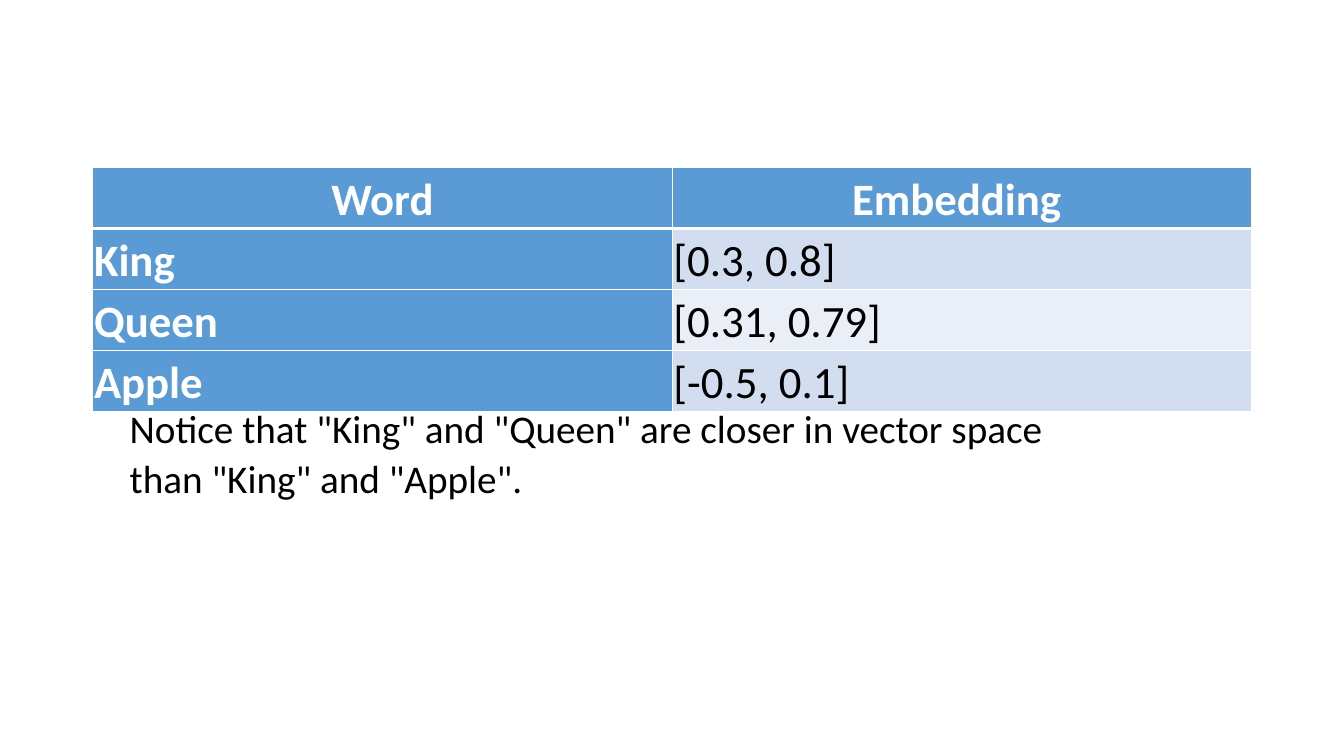
from lxml import etree
from pptx import Presentation
from pptx import util as u
from pptx.dml.color import RGBColor
from pptx.enum import text
from pptx.oxml import ns

ROWS = [
    ("Word", "Embedding "),
    ("King", "[0.3, 0.8]"),
    ("Queen", "[0.31, 0.79]"),
    ("Apple", "[-0.5, 0.1]"),
]
NOTICE = ('Notice that "King" and "Queen" are closer in vector space '
          'than "King" and "Apple".')

FONT = "Calibri"
WHITE, BLACK, BLUE = "FFFFFF", "000000", "5B9BD5"
BANDS = ["EAEFF7", "D2DEEF"]
LINE_SPACING = 1.07
TABLE_LEFT, TABLE_TOP = u.Cm(2.34), u.Cm(4.22)
COLUMN_WIDTH, ROW_HEIGHT = u.Cm(14.6), u.Cm(1.53)
CELL_MARGIN = u.Cm(0.03)


def color(code):
    return RGBColor.from_string(code)


def format_paragraph(para, size, code, bold=False):
    para.line_spacing = LINE_SPACING
    for span in para.runs:
        span.font.name = FONT
        span.font.size = u.Pt(size)
        span.font.bold = bold
        span.font.color.rgb = color(code)


def add_borders(cell, top, bottom):
    """Draw white cell borders; widths in points, to be set before the fill."""
    properties = cell._tc.get_or_add_tcPr()
    for side, width in (("L", 1), ("R", 1), ("T", top), ("B", bottom)):
        line = etree.SubElement(properties, ns.qn(f"a:ln{side}"), w=str(u.Pt(width)))
        fill = etree.SubElement(line, ns.qn("a:solidFill"))
        etree.SubElement(fill, ns.qn("a:srgbClr"), val=WHITE)


def add_embedding_table(slide):
    columns = len(ROWS[0])
    table = slide.shapes.add_table(
        len(ROWS), columns, TABLE_LEFT, TABLE_TOP,
        COLUMN_WIDTH * columns, ROW_HEIGHT * len(ROWS)).table
    table.first_col = True
    for r, row in enumerate(ROWS):
        for c, value in enumerate(row):
            cell = table.cell(r, c)
            heading = r == 0 or c == 0
            add_borders(cell, top=3 if r == 1 else 1, bottom=3 if r == 0 else 1)
            cell.fill.solid()
            cell.fill.fore_color.rgb = color(BLUE if heading else BANDS[r % 2])
            cell.margin_left = cell.margin_right = CELL_MARGIN
            cell.margin_top = cell.margin_bottom = CELL_MARGIN
            cell.vertical_anchor = text.MSO_ANCHOR.MIDDLE
            cell.text_frame.text = value
            para = cell.text_frame.paragraphs[0]
            para.alignment = text.PP_ALIGN.CENTER if r == 0 else text.PP_ALIGN.LEFT
            format_paragraph(para, 32, WHITE if heading else BLACK, heading)


def add_notice(slide):
    box = slide.shapes.add_textbox(u.Cm(3.02), u.Cm(9.98), u.Cm(25.2), u.Cm(2.82))
    frame = box.text_frame
    frame.word_wrap = True
    frame.auto_size = text.MSO_AUTO_SIZE.SHAPE_TO_FIT_TEXT
    frame.text = NOTICE
    para = frame.paragraphs[0]
    para.space_after = u.Pt(8)
    format_paragraph(para, 28, BLACK)


def main():
    deck = Presentation()
    deck.slide_width, deck.slide_height = u.Cm(33.87), u.Cm(19.05)
    slide = deck.slides.add_slide(deck.slide_layouts[6])
    add_embedding_table(slide)
    add_notice(slide)
    deck.save("out.pptx")


if __name__ == "__main__":
    main()
